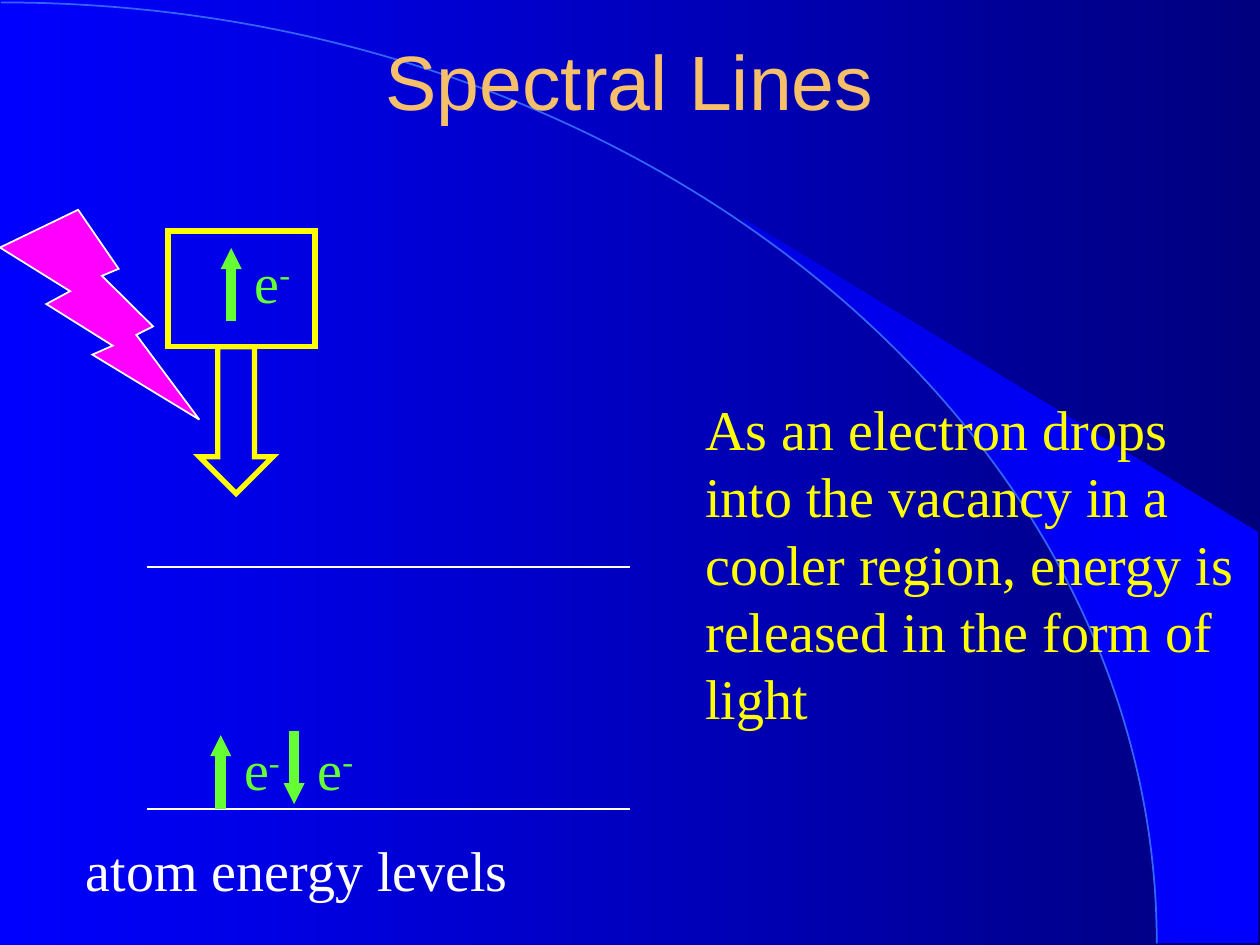
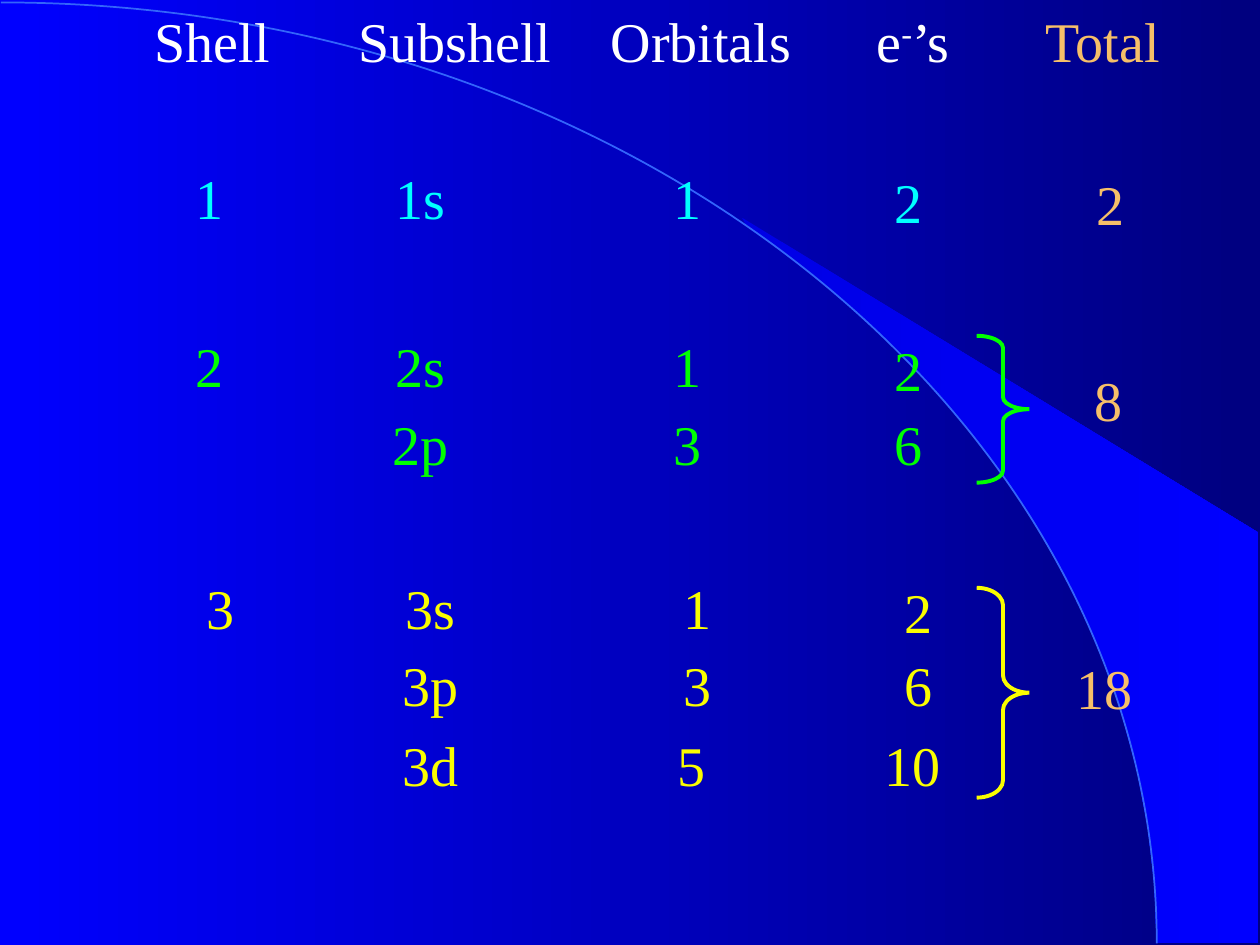
import math

from lxml import etree
from pptx import Presentation
from pptx import util as u
from pptx.dml.color import RGBColor
from pptx.enum import shapes, text
from pptx.oxml import ns

WHITE, YELLOW, GOLD = "FFFFFF", "FFFF00", "F6BF69"
ELECTRON_GREEN, PINK, ARC_BLUE = "66FF33", "FF00FF", "3365FB"
CYAN, GREEN, LEMON = "00FFFF", "00FF00", "FAFD00"
BODY_FONT = {"name": "Times New Roman", "size": u.Pt(32)}
TITLE_FONT = {"name": "Arial", "size": u.Pt(44)}
LINE_HEIGHT = 1.6


def color(value):
    """Turn a hex string into a colour."""
    return RGBColor.from_string(value)


def set_values(target, values):
    """Set each attribute of the target from a dict."""
    for name, value in values.items():
        setattr(target, name, value)


def place(shape, left, top, width, height):
    """Move and size a shape in centimetres."""
    set_values(shape, {"left": u.Cm(left), "top": u.Cm(top),
                       "width": u.Cm(width), "height": u.Cm(height)})


def fill_gradient(fill, start, end):
    """Fill from left to right with two colours."""
    fill.gradient()
    fill.gradient_angle = 0
    for stop, value in zip(fill.gradient_stops, (start, end)):
        stop.color.rgb = color(value)


def style_line(line, line_color, width):
    """Colour a line and set its width in points."""
    line.color.rgb = color(line_color)
    line.width = u.Pt(width)


def write_runs(paragraph, pieces, font_color, font):
    """Write runs in which every second piece is superscript."""
    for index, piece in enumerate(pieces):
        run = paragraph.add_run()
        run.text = piece
        set_values(run.font, font)
        run.font.color.rgb = color(font_color)
        if index % 2:
            run._r.get_or_add_rPr().set("baseline", "30000")


def add_text(slide, pieces, box, font_color, alignment=text.PP_ALIGN.LEFT, tabs=()):
    """Add a wrapped text box in the body font."""
    frame = slide.shapes.add_textbox(*map(u.Cm, box)).text_frame
    frame.word_wrap = True
    paragraph = frame.paragraphs[0]
    paragraph.alignment = alignment
    if tabs:
        tab_list = etree.SubElement(paragraph._p.get_or_add_pPr(), ns.qn("a:tabLst"))
        for position in tabs:
            etree.SubElement(tab_list, ns.qn("a:tab"),
                             pos=str(int(u.Cm(position))), algn="l")
    write_runs(paragraph, pieces, font_color, BODY_FONT)


def add_centered(slide, label, center, top, font_color, width=2):
    """Add one line of text centred on a column."""
    box = (center - width / 2, top, width, LINE_HEIGHT)
    add_text(slide, [label], box, font_color, text.PP_ALIGN.CENTER)


def add_line(slide, start, end, line_color, width, arrow=False):
    """Add a straight line, with an arrowhead at its end if asked."""
    line = slide.shapes.add_connector(shapes.MSO_CONNECTOR.STRAIGHT,
                                      *map(u.Cm, start + end))
    style_line(line.line, line_color, width)
    properties = line._element.spPr
    if arrow:
        etree.SubElement(properties.find(ns.qn("a:ln")), ns.qn("a:tailEnd"),
                         type="triangle", w="sm", len="sm")
    etree.SubElement(properties, ns.qn("a:effectLst"))


def add_outline(slide, kind, box, line_color, width, fill=None, adjustments=()):
    """Add a preset shape with sharp corners, hollow unless a fill is given."""
    shape = slide.shapes.add_shape(kind, *map(u.Cm, box))
    shape.shadow.inherit = False
    for index, value in enumerate(adjustments):
        shape.adjustments[index] = value
    if fill:
        shape.fill.solid()
        shape.fill.fore_color.rgb = color(fill)
    else:
        shape.fill.background()
    style_line(shape.line, line_color, width)
    etree.SubElement(shape._element.spPr.find(ns.qn("a:ln")), ns.qn("a:miter"),
                     lim="800000")


def add_freeform(slide, points, closed):
    """Add an outline through points in centimetres."""
    points = [(u.Cm(x), u.Cm(y)) for x, y in points]
    builder = slide.shapes.build_freeform(*points[0])
    builder.add_line_segments(points[1:], close=closed)
    shape = builder.convert_to_shape()
    shape.shadow.inherit = False
    return shape


def bend_to_quarter_ellipse(shape):
    """Replace the single straight segment of a freeform by a curve."""
    outline = next(shape.element.iter(ns.qn("a:path")))
    width, height = int(outline.get("w")), int(outline.get("h"))
    outline.remove(outline.find(ns.qn("a:lnTo")))
    curve = etree.SubElement(outline, ns.qn("a:cubicBezTo"))
    for x, y in ((0.55, 0), (1, 0.45), (1, 1)):
        etree.SubElement(curve, ns.qn("a:pt"), x=str(round(x * width)),
                         y=str(round(y * height)))


def decorate_master(presentation, slide):
    """Give the master its gradient, bright wedge and arc."""
    master = presentation.slide_master
    fill_gradient(master.background.fill, "0000FF", "00007F")
    first, steps = 0.7, 14
    angles = [first + (math.pi / 2 - first) * step / steps for step in range(steps + 1)]
    edge = [(23.32 * math.sin(angle), 19.02 - 18.97 * math.cos(angle))
            for angle in angles]
    corners = [(25.37, 19.02), (25.37, 10.74), (14.96, 4.39)]
    wedge = add_freeform(slide, corners + edge, True)
    fill_gradient(wedge.fill, "0000E5", "0000FF")
    wedge.line.fill.background()
    arc = add_freeform(slide, [(0.02, 0.05), (23.32, 19.02)], False)
    bend_to_quarter_ellipse(arc)
    arc.fill.background()
    style_line(arc.line, ARC_BLUE, 1)
    for position, shape in enumerate((wedge, arc), start=2):
        master.shapes.element.insert(position, shape.element)


def add_electron(slide, x, top, up=True):
    """Add a spin arrow with its electron label."""
    ends = [(x, top), (x, top + 1.48)]
    start, end = reversed(ends) if up else ends
    add_line(slide, start, end, ELECTRON_GREEN, 6, arrow=True)
    label_top = top - 0.13 if up else top - 0.05
    add_text(slide, ["e", "-"], (x + 0.22, label_top, 1.9, LINE_HEIGHT),
             ELECTRON_GREEN)


def build_spectral_lines(slide):
    """Build the slide on an electron dropping to a lower level."""
    title = slide.shapes.title
    place(title, 1.9, 0.02, 21.59, 3.18)
    title.text_frame.vertical_anchor = text.MSO_ANCHOR.MIDDLE
    paragraph = title.text_frame.paragraphs[0]
    paragraph.alignment = text.PP_ALIGN.CENTER
    write_runs(paragraph, ["Spectral Lines"], GOLD, TITLE_FONT)

    for level in (16.31, 11.43):
        add_line(slide, (2.97, level), (12.7, level), WHITE, 1)
    add_text(slide, ["atom energy levels"], (1.48, 16.72, 12.5, LINE_HEIGHT), WHITE)
    add_text(slide, ["As an electron drops into the vacancy in a cooler region, "
                     "energy is released in the form of light"],
             (13.97, 7.83, 11.43, 7.04), YELLOW)
    add_electron(slide, 4.45, 14.82)
    add_electron(slide, 5.93, 14.73, up=False)
    kinds = shapes.MSO_SHAPE
    add_outline(slide, kinds.LIGHTNING_BOLT, (0, 4.23, 4.02, 4.23), WHITE, 1, PINK)
    add_electron(slide, 4.66, 5)
    add_outline(slide, kinds.RECTANGLE, (3.39, 4.66, 2.96, 2.33), YELLOW, 3)
    add_outline(slide, kinds.DOWN_ARROW, (4.02, 6.99, 1.48, 2.96), YELLOW, 3,
                adjustments=(0.5, 0.5))


def add_shell(slide, number, subshells, tops, font_color, shift=0):
    """Add one shell with a row for each subshell."""
    add_centered(slide, number, 4.23 + shift, tops[0], font_color)
    for row, (top, labels) in enumerate(zip(tops, subshells)):
        nudge = -0.13 if row == 2 else 0
        drop = 0.08 if row == 0 else 0
        subshell, orbitals, electrons = labels
        add_centered(slide, subshell, 8.47 + shift, top, font_color)
        add_centered(slide, orbitals, 13.86 + shift + nudge, top, font_color)
        add_centered(slide, electrons, 18.31 + shift + nudge, top + drop, font_color)


def build_shells(slide):
    """Build the slide that counts electrons in each shell."""
    add_text(slide, ["Shell\tSubshell\tOrbitals\te", "-", "’s"],
             (2.87, 0, 17.8, LINE_HEIGHT), WHITE, tabs=(4.11, 9.19, 14.55))
    s_row, p_row, d_row = ("1", "2"), ("3", "6"), ("5", "10")
    add_shell(slide, "1", [("1s", *s_row)], [3.18], CYAN)
    add_shell(slide, "2", [("2s", *s_row), ("2p", *p_row)], [6.55, 8.13], GREEN)
    add_shell(slide, "3", [("3s", *s_row), ("3p", *p_row), ("3d", *d_row)],
              [11.43, 12.99, 14.6], LEMON, shift=0.21)
    for label, center, top in (("Total", 22.23, 0), ("2", 22.39, 3.3),
                               ("8", 22.34, 7.24), ("18", 22.26, 13.05)):
        add_centered(slide, label, center, top, GOLD, width=4)
    for top, height, bend, brace_color in ((6.77, 2.96, 0.23, GREEN),
                                           (11.85, 4.23, 0.33, LEMON)):
        add_outline(slide, shapes.MSO_SHAPE.RIGHT_BRACE, (19.69, top, 1.06, height),
                    brace_color, 2.25, adjustments=(bend, 0.5))


def main():
    """Build both slides and save them."""
    presentation = Presentation()
    set_values(presentation, {"slide_width": u.Cm(25.4), "slide_height": u.Cm(19.05)})
    layouts = presentation.slide_layouts
    spectral_slide = presentation.slides.add_slide(layouts.get_by_name("Title Only"))
    decorate_master(presentation, spectral_slide)
    build_spectral_lines(spectral_slide)
    build_shells(presentation.slides.add_slide(layouts.get_by_name("Blank")))
    presentation.save("out.pptx")


if __name__ == "__main__":
    main()
